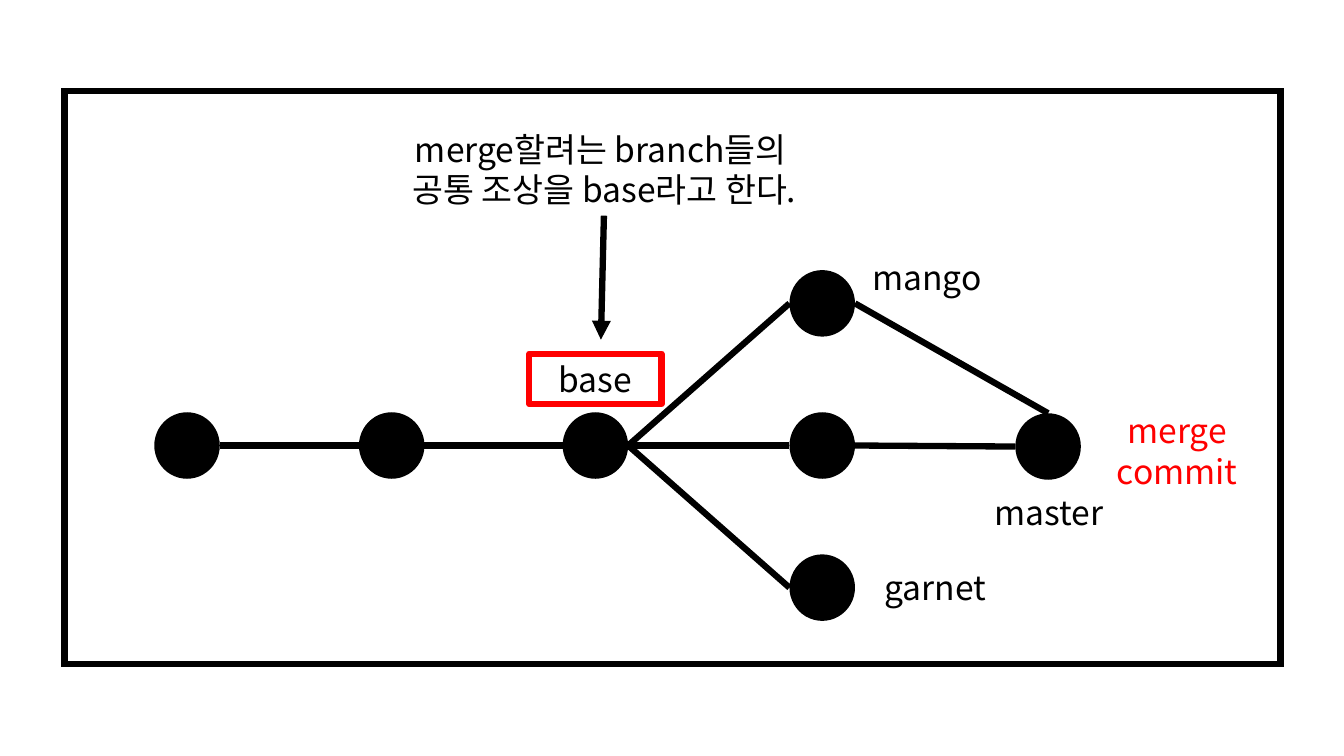
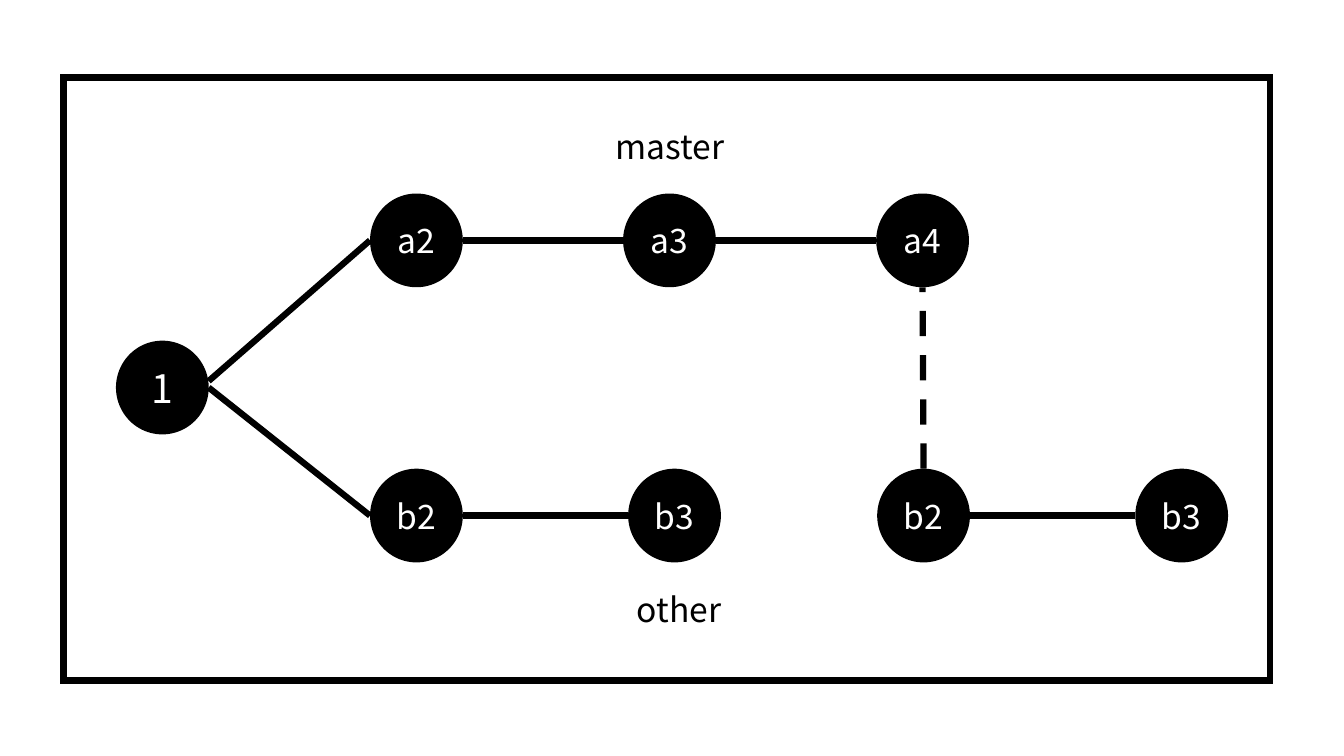
from lxml import etree
from pptx import Presentation
from pptx.dml.color import RGBColor
from pptx.enum.dml import MSO_LINE
from pptx.enum.shapes import MSO_CONNECTOR, MSO_SHAPE
from pptx.enum.text import MSO_ANCHOR, MSO_AUTO_SIZE, PP_ALIGN
from pptx.oxml.ns import qn
from pptx.util import Inches, Pt

BLACK = RGBColor(0x00, 0x00, 0x00)
WHITE = RGBColor(0xFF, 0xFF, 0xFF)
RED = RGBColor(0xFF, 0x00, 0x00)
FONT = "Noto Sans CJK KR"
TEXT_SIZE = 24
LINE_WIDTH = Pt(4.5)
SMALL_NODE = (0.65, 0.66)
LARGE_NODE = (0.92, 0.93)

STRAIGHT = MSO_CONNECTOR.STRAIGHT
ELLIPSE = MSO_SHAPE.OVAL
RECTANGLE = MSO_SHAPE.RECTANGLE
DASH = MSO_LINE.DASH
CENTER = PP_ALIGN.CENTER
TOP = MSO_ANCHOR.TOP
MIDDLE = MSO_ANCHOR.MIDDLE
FIT_SHAPE = MSO_AUTO_SIZE.SHAPE_TO_FIT_TEXT


def write(shape, text, color=BLACK, size=TEXT_SIZE, anchor=TOP):
    frame = shape.text_frame
    frame.word_wrap = True
    frame.vertical_anchor = anchor
    frame.text = text
    for paragraph in frame.paragraphs:
        paragraph.alignment = CENTER
        paragraph.font.size = Pt(size)
        paragraph.font.color.rgb = color
        paragraph.font.name = FONT
        properties = paragraph._p.pPr.find(qn("a:defRPr"))
        etree.SubElement(properties, qn("a:ea"), typeface=FONT)


def add_label(slide, text, left, top, width, height=0.5, color=BLACK):
    label = slide.shapes.add_textbox(*map(Inches, (left, top, width, height)))
    write(label, text, color)
    label.text_frame.auto_size = FIT_SHAPE


def add_outline(slide, left, top, width, height, color=BLACK):
    outline = slide.shapes.add_shape(
        RECTANGLE, *map(Inches, (left, top, width, height)))
    outline.shadow.inherit = False
    outline.fill.background()
    outline.line.color.rgb = color
    outline.line.width = LINE_WIDTH
    return outline


def add_frame(slide, left, top, width, height):
    frame = add_outline(slide, left, top, width, height)
    line = frame._element.spPr.find(qn("a:ln"))
    etree.SubElement(line, qn("a:miter"), lim="800000")


def add_node(slide, left, top, size, text="", text_size=TEXT_SIZE):
    node = slide.shapes.add_shape(
        ELLIPSE, *map(Inches, (left, top, *size)))
    node.shadow.inherit = False
    node.fill.solid()
    node.fill.fore_color.rgb = BLACK
    node.line.fill.background()
    if text:
        write(node, text, WHITE, text_size, MIDDLE)
    return node


def left_of(node):
    return node.left, node.top + node.height // 2


def right_of(node):
    return node.left + node.width, node.top + node.height // 2


def top_of(node):
    return node.left + node.width // 2, node.top


def bottom_of(node):
    return node.left + node.width // 2, node.top + node.height


def add_line(slide, start, end, dashed=False, arrow=False):
    connector = slide.shapes.add_connector(STRAIGHT, *start, *end)
    connector.line.color.rgb = BLACK
    connector.line.width = LINE_WIDTH
    if dashed:
        connector.line.dash_style = DASH
    properties = connector._element.spPr
    if arrow:
        etree.SubElement(properties.find(qn("a:ln")), qn("a:tailEnd"), type="triangle")
    etree.SubElement(properties, qn("a:effectLst"))


def link(slide, *nodes):
    for first, second in zip(nodes, nodes[1:]):
        add_line(slide, right_of(first), left_of(second))


def build_merge_base(slide):
    middle, branch_gap = 4.09, 1.41
    first, second, base = [
        add_node(slide, left, middle, SMALL_NODE) for left in (1.53, 3.56, 5.58)]
    upper, center, lower = [
        add_node(slide, 7.83, middle + step * branch_gap, SMALL_NODE)
        for step in (-1, 0, 1)]
    merged = add_node(slide, 10.07, 4.1, SMALL_NODE)

    link(slide, first, second, base, center, merged)
    link(slide, base, upper)
    link(slide, base, lower)
    add_line(slide, right_of(upper), top_of(merged))

    add_label(slide, "mango", 8.54, 2.5, 1.31)
    add_label(slide, "master", 9.65, 4.83, 1.51)
    add_label(slide, "garnet", 8.62, 5.58, 1.31)
    base_box = add_outline(slide, 5.25, 3.51, 1.31, 0.5, RED)
    write(base_box, "base")
    base_box.text_frame.auto_size = FIT_SHAPE

    add_label(slide, "merge할려는 branch들의 \n공통 조상을 base라고 한다.",
              3.59, 1.23, 4.81, 0.91)
    add_line(slide, (Inches(5.99), Inches(2.14)),
             (Inches(5.96), Inches(3.37)), arrow=True)
    add_label(slide, "merge\ncommit", 10.92, 4.02, 1.51, 0.91, RED)
    add_frame(slide, 0.64, 0.9, 12.06, 5.69)


def build_rebase(slide):
    upper, lower = 1.92, 4.65
    root = add_node(slide, 1.15, 3.38, LARGE_NODE, "1", 28)
    a2, a3, a4 = [
        add_node(slide, 3.67 + 2.51 * index, upper, LARGE_NODE, text)
        for index, text in enumerate(("a2", "a3", "a4"))]
    b2, b3, moved_b2, moved_b3 = [
        add_node(slide, left, lower, LARGE_NODE, text)
        for left, text in ((3.67, "b2"), (6.23, "b3"), (8.7, "b2"), (11.26, "b3"))]

    add_line(slide, (Inches(2.07), Inches(3.78)), left_of(a2))
    link(slide, a2, a3, a4)
    link(slide, root, b2, b3)
    link(slide, moved_b2, moved_b3)
    add_line(slide, top_of(moved_b2), bottom_of(a4), dashed=True)

    add_label(slide, "master", 5.89, 1.2, 1.51)
    add_label(slide, "other", 6.08, 5.79, 1.31)
    add_frame(slide, 0.63, 0.77, 11.97, 5.98)


def main():
    presentation = Presentation()
    presentation.slide_width = Inches(13.33)
    presentation.slide_height = Inches(7.5)
    blank = presentation.slide_layouts[6]
    for build in (build_merge_base, build_rebase):
        build(presentation.slides.add_slide(blank))
    presentation.save("out.pptx")


if __name__ == "__main__":
    main()
